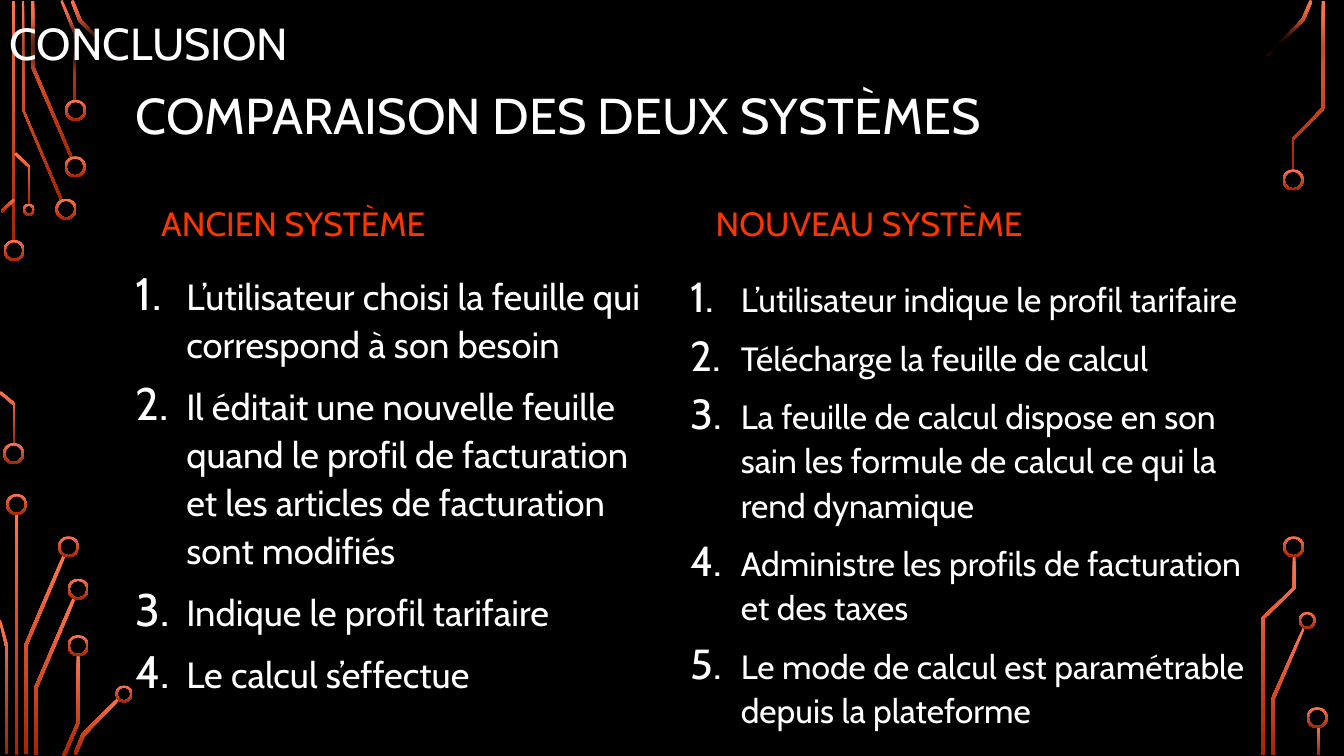
from dataclasses import dataclass

from lxml import etree
from pptx import Presentation
from pptx.dml.color import RGBColor
from pptx.enum.shapes import MSO_SHAPE
from pptx.enum.text import MSO_ANCHOR, PP_ALIGN
from pptx.oxml.ns import qn
from pptx.util import Inches, Pt

RECTANGLE, DONUT = MSO_SHAPE.RECTANGLE, MSO_SHAPE.DONUT
TOP, MIDDLE, BOTTOM = MSO_ANCHOR.TOP, MSO_ANCHOR.MIDDLE, MSO_ANCHOR.BOTTOM
LEFT = PP_ALIGN.LEFT
COLUMNS, ROWS = 1333, 750
CELL = Inches(0.01)


@dataclass(frozen=True)
class Theme:
    """Colours, type sizes and stroke measures of the slide."""

    font: str = "Cabin"
    black: RGBColor = RGBColor(0, 0, 0)
    white: RGBColor = RGBColor(255, 255, 255)
    accent: RGBColor = RGBColor(0xFA, 0x36, 0x00)
    glow: RGBColor = RGBColor(0xFF, 0x74, 0x4E)
    ember: RGBColor = RGBColor(0xA6, 0x24, 0x00)
    title: int = 36
    banner: int = 32
    heading: int = 24
    old_list: int = 26
    new_list: int = 24
    trace: float = 2.6
    rim: float = 2.1


THEME = Theme()

TRACES = [
    [(13.5, 1), (13.5, 240)],
    [(23, 1), (23, 109), (61, 198.5)],
    [(32.5, 1), (32.5, 66.5), (71, 156.5)],
    [(61, 0.5), (74.5, 33), (74.5, 100)],
    [(71.5, 0.5), (79.5, 20.5), (115.5, 57)],
    [(1.5, 210), (14, 198)],
    [(0, 389), (14, 401), (14, 441)],
    [(15, 152), (29, 165.5), (29, 203)],
    [(16.5, 510), (16.5, 749)],
    [(25.5, 748), (25.5, 640.5), (63.5, 551.5)],
    [(0, 615.5), (6.5, 641), (6.5, 748)],
    [(35.5, 749), (35.5, 682.5), (73.5, 593.5)],
    [(63.5, 749.5), (77.5, 717), (77.5, 650)],
    [(74.5, 748.5), (82.5, 729), (118, 693)],
    [(1257, 55.5), (1292.5, 19.5), (1300.5, 0.5)],
    [(1262.5, 749), (1262.5, 693.5), (1293, 623.5)],
    [(1312.5, 1), (1312.5, 107.5), (1282, 138.5), (1282, 169)],
    [(1252.5, 749), (1252.5, 613.5), (1283.5, 583.5), (1283.5, 552)],
    [(1307.5, 721), (1307.5, 749)],
]

PADS = {
    21: [(14, 248.5), (13.5, 450), (65.5, 207.5), (74.5, 165.5), (75, 109.5),
         (16.5, 500.5), (68, 542.5), (77.5, 584.5), (77.5, 640.5),
         (1282.5, 178.5), (1283, 542.5), (1306.5, 712)],
    17: [(123, 688.5), (1296.5, 615.5)],
    12: [(28.5, 208)],
}

OLD_STEPS = [
    "L’utilisateur choisi la feuille qui correspond à son besoin",
    "Il éditait une nouvelle feuille quand le profil de facturation et les "
    "articles de facturation sont modifiés",
    "Indique le profil tarifaire",
    "Le calcul s’effectue",
]
NEW_STEPS = [
    "L’utilisateur indique le profil tarifaire",
    "Télécharge la feuille de calcul",
    "La feuille de calcul dispose en son sain les formule de calcul ce qui la "
    "rend dynamique",
    "Administre les profils de facturation et des taxes",
    "Le mode de calcul est paramétrable depuis la plateforme",
]


def apply(target, values):
    """Set every attribute named in a dict of format values."""
    for name, value in values.items():
        setattr(target, name, value)


def cells(*lengths):
    """Turn grid units into slide lengths."""
    return [round(length * CELL) for length in lengths]


def paint_metal(shape):
    """Fill a circuit part with the vertical glow gradient."""
    shape.shadow.inherit = False
    shape.line.fill.background()
    shape.fill.gradient()
    shape.fill.gradient_angle = 270
    for stop, colour in zip(shape.fill.gradient_stops, (THEME.glow, THEME.ember)):
        stop.color.rgb = colour


def outline(points, width):
    """Return the mitred outline of a stroke along the points."""
    path = [complex(*point) for point in points]
    normals = [1j * (end - start) / abs(end - start)
               for start, end in zip(path, path[1:])]
    before, after = normals[:1] + normals, normals + normals[-1:]
    offsets = [width * (first + second) / abs(first + second) ** 2
               for first, second in zip(before, after)]
    near = [point + offset for point, offset in zip(path, offsets)]
    far = [point - offset for point, offset in zip(path, offsets)]
    return [(corner.real, corner.imag) for corner in near + far[::-1]]


def add_trace(slide, points):
    """Draw one circuit trace."""
    start, *others = outline(points, THEME.trace)
    builder = slide.shapes.build_freeform(*start, scale=CELL)
    builder.add_line_segments(others, close=True)
    paint_metal(builder.convert_to_shape())


def add_pad(slide, centre, diameter):
    """Draw one ring at the end of a trace."""
    left, top = (value - diameter / 2 for value in centre)
    ring = slide.shapes.add_shape(DONUT, *cells(left, top, diameter, diameter))
    ring.adjustments[0] = THEME.rim / diameter
    paint_metal(ring)


def add_panel(slide, box):
    """Add a plain black rectangle."""
    panel = slide.shapes.add_shape(RECTANGLE, *cells(*box))
    panel.shadow.inherit = False
    panel.fill.solid()
    panel.fill.fore_color.rgb = THEME.black
    panel.line.fill.background()
    return panel


def soften_edges(shape, radius):
    """Fade the border of a shape over a radius in grid units."""
    effects = shape._element.spPr.find(qn("a:effectLst"))
    etree.SubElement(effects, qn("a:softEdge"), rad=str(cells(radius)[0]))


def number(paragraph):
    """Give a paragraph a large hanging number."""
    properties = paragraph._p.get_or_add_pPr()
    apply_indent = {"marL": Inches(0.5), "indent": -Inches(0.5)}
    for name, value in apply_indent.items():
        properties.set(name, str(value))
    etree.SubElement(properties, qn("a:buSzPct"), val="125000")
    etree.SubElement(properties, qn("a:buAutoNum"), type="arabicPeriod")


def write(shape, lines, size, colour, anchor=TOP, spacing=0.9, before=10, numbered=False):
    """Write paragraphs of one format into a shape."""
    frame = shape.text_frame
    apply(frame, {"word_wrap": True, "vertical_anchor": anchor})
    for index, line in enumerate(lines):
        paragraph = frame.add_paragraph() if index else frame.paragraphs[0]
        apply(paragraph, {"alignment": LEFT, "line_spacing": spacing,
                          "space_before": Pt(before)})
        if numbered:
            number(paragraph)
        run = paragraph.add_run()
        run.text = line
        apply(run.font, {"name": THEME.font, "size": Pt(size)})
        run.font.color.rgb = colour


def add_system(slide, heading, heading_box, steps, steps_box, size):
    """Add the heading and numbered steps of one system."""
    write(add_panel(slide, heading_box), [heading], THEME.heading, THEME.accent, BOTTOM)
    write(slide.shapes.add_textbox(*cells(*steps_box)), steps, size, THEME.white,
          spacing=1.1, numbered=True)


def main():
    """Build and save the comparison slide."""
    presentation = Presentation()
    apply(presentation, {"slide_width": COLUMNS * CELL, "slide_height": ROWS * CELL})
    slide = presentation.slides.add_slide(presentation.slide_layouts[6])
    slide.background.fill.solid()
    slide.background.fill.fore_color.rgb = THEME.black
    for points in TRACES:
        add_trace(slide, points)
    for diameter, centres in PADS.items():
        for centre in centres:
            add_pad(slide, centre, diameter)
    write(slide.shapes.add_textbox(*cells(125, 36, 1083, 162)),
          ["COMPARAISON DES DEUX SYSTÈMES"], THEME.title, THEME.white, MIDDLE, before=0)
    add_system(slide, "ANCIEN SYSTÈME", (150, 157, 509, 90),
               OLD_STEPS, (125, 263, 534, 465), THEME.old_list)
    add_system(slide, "NOUVEAU SYSTÈME", (700, 157, 508, 90),
               NEW_STEPS, (675, 268, 593, 531), THEME.new_list)
    banner = add_panel(slide, (0, 0, COLUMNS, 92))
    soften_edges(banner, 25)
    write(banner, ["CONCLUSION"], THEME.banner, THEME.white, spacing=1.2)
    presentation.save("out.pptx")


if __name__ == "__main__":
    main()
